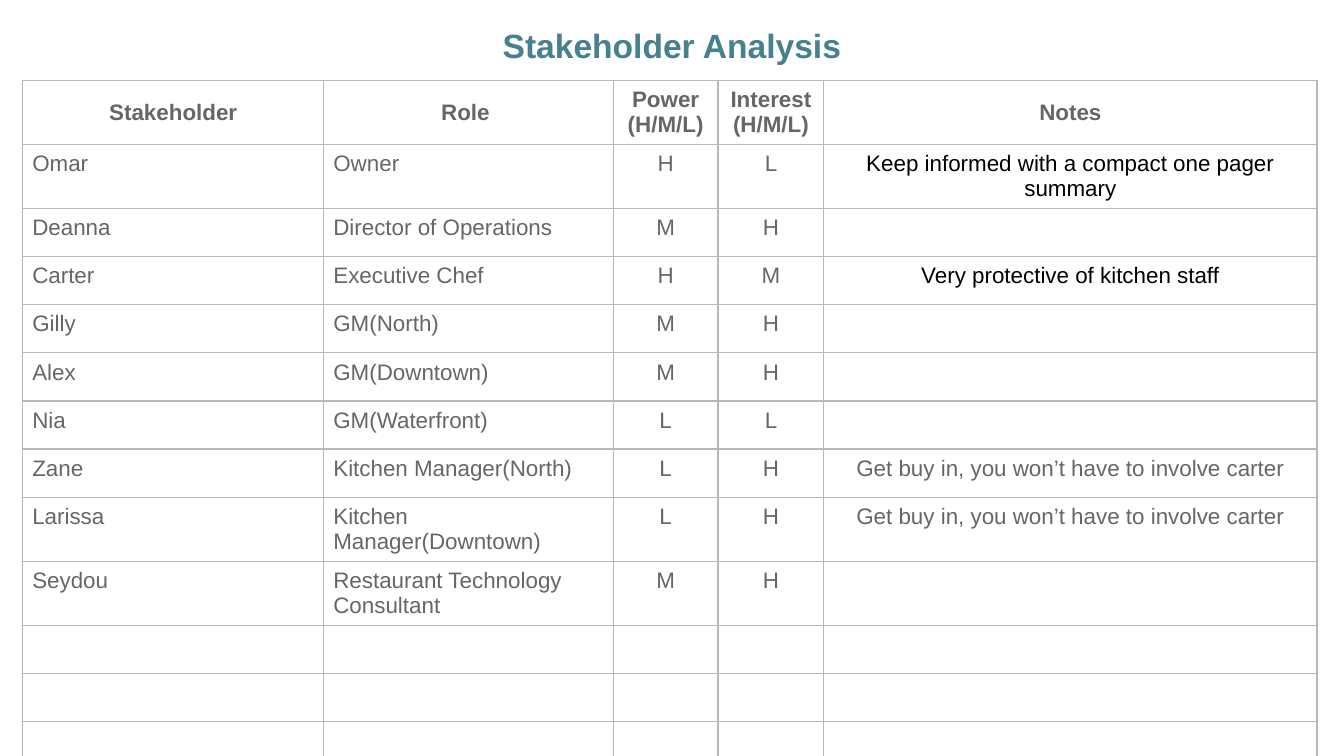
import pptx
import pptx.util
import pptx.dml.color
import pptx.enum.text
import pptx.oxml
import pptx.oxml.ns
from dataclasses import dataclass

Cm, Pt = pptx.util.Cm, pptx.util.Pt
ALIGN = pptx.enum.text.PP_ALIGN
ANCHOR = pptx.enum.text.MSO_ANCHOR


@dataclass(frozen=True)
class Theme:
    font: str = "Arial"
    title: str = "45818E"
    text: str = "666666"
    strong: str = "000000"
    border: str = "B7B7B7"
    title_size: int = 18
    body_size: int = 12
    border_width: float = 0.75


THEME = Theme()
TITLE = "Stakeholder Analysis"
HEADERS = ["Stakeholder", "Role ", "Power (H/M/L)", "Interest (H/M/L)", "Notes"]
BUY_IN = "Get buy in, you won’t have to involve carter"
STAKEHOLDERS = [
    ("Omar", "Owner", "H", "L", "Keep informed with a compact one pager summary"),
    ("Deanna", "Director of Operations", "M", "H", ""),
    ("Carter", "Executive Chef", "H", "M", "Very protective of kitchen staff"),
    ("Gilly", "GM(North)", "M", "H", ""),
    ("Alex", "GM(Downtown)", "M", "H", ""),
    ("Nia", "GM(Waterfront)", "L", "L", ""),
    ("Zane", "Kitchen Manager(North)", "L", "H", BUY_IN),
    ("Larissa", "Kitchen Manager(Downtown)", "L", "H", BUY_IN),
    ("Seydou", "Restaurant Technology Consultant", "M", "H", ""),
]
BLANK_ROWS = 3
COLUMN_WIDTHS = [5.69, 5.47, 1.98, 2.0, 9.32]
COLUMN_ALIGN = [ALIGN.LEFT, ALIGN.LEFT, ALIGN.CENTER, ALIGN.CENTER, ALIGN.CENTER]
HEADER_HEIGHT, ROW_HEIGHT = 0.71, 0.91


def write(tf, text, size=THEME.body_size, color=THEME.text, bold=False,
          align=ALIGN.LEFT, spacing=None):
    p = tf.paragraphs[0]
    p.alignment = align
    p.line_spacing = spacing
    if not text:
        # Keeps an empty cell's line as low as a filled one's
        p._p.get_or_add_endParaRPr().set("sz", str(size * 100))
        return
    r = p.add_run()
    r.text = text
    r.font.name = THEME.font
    r.font.size = Pt(size)
    r.font.bold = bold
    r.font.color.rgb = pptx.dml.color.RGBColor.from_string(color)


def set_borders(cell):
    tc_pr = cell._tc.get_or_add_tcPr()
    for i, side in enumerate(("lnL", "lnR", "lnT", "lnB")):
        tc_pr.insert(i, pptx.oxml.parse_xml(
            f'<a:{side} {pptx.oxml.ns.nsdecls("a")} w="{int(Pt(THEME.border_width))}">'
            f'<a:solidFill><a:srgbClr val="{THEME.border}"/></a:solidFill></a:{side}>'))


def add_stakeholder_table(slide):
    rows = [HEADERS, *STAKEHOLDERS, *[[""] * len(HEADERS)] * BLANK_ROWS]
    heights = [HEADER_HEIGHT] + [ROW_HEIGHT] * (len(rows) - 1)
    table = slide.shapes.add_table(
        len(rows), len(HEADERS), Cm(0.43), Cm(1.52),
        Cm(sum(COLUMN_WIDTHS)), Cm(sum(heights))).table
    table.horz_banding = False
    for column, width in zip(table.columns, COLUMN_WIDTHS):
        column.width = Cm(width)
    for i, (row, values) in enumerate(zip(table.rows, rows)):
        row.height = Cm(heights[i])
        header = i == 0
        for j, (cell, text) in enumerate(zip(row.cells, values)):
            cell.margin_left = cell.margin_right = Cm(0.18)
            cell.margin_top = cell.margin_bottom = Cm(0.13)
            cell.vertical_anchor = ANCHOR.MIDDLE if header else ANCHOR.TOP
            cell.fill.background()
            set_borders(cell)
            is_note = j == len(HEADERS) - 1 and not header
            write(cell.text_frame, text, bold=header,
                  color=THEME.strong if is_note and text != BUY_IN else THEME.text,
                  align=ALIGN.CENTER if header else COLUMN_ALIGN[j])


def add_title(slide):
    tf = slide.shapes.add_textbox(Cm(2.11), Cm(0.1), Cm(21.18), Cm(1.27)).text_frame
    tf.word_wrap = True
    tf.margin_left = tf.margin_right = tf.margin_top = tf.margin_bottom = Cm(0.25)
    write(tf, TITLE, size=THEME.title_size, color=THEME.title, bold=True,
          align=ALIGN.CENTER, spacing=1.15)


def main():
    prs = pptx.Presentation()
    prs.slide_width, prs.slide_height = Cm(25.4), Cm(14.29)
    slide = prs.slides.add_slide(prs.slide_layouts[6])
    add_stakeholder_table(slide)
    add_title(slide)
    prs.save("out.pptx")


if __name__ == "__main__":
    main()
